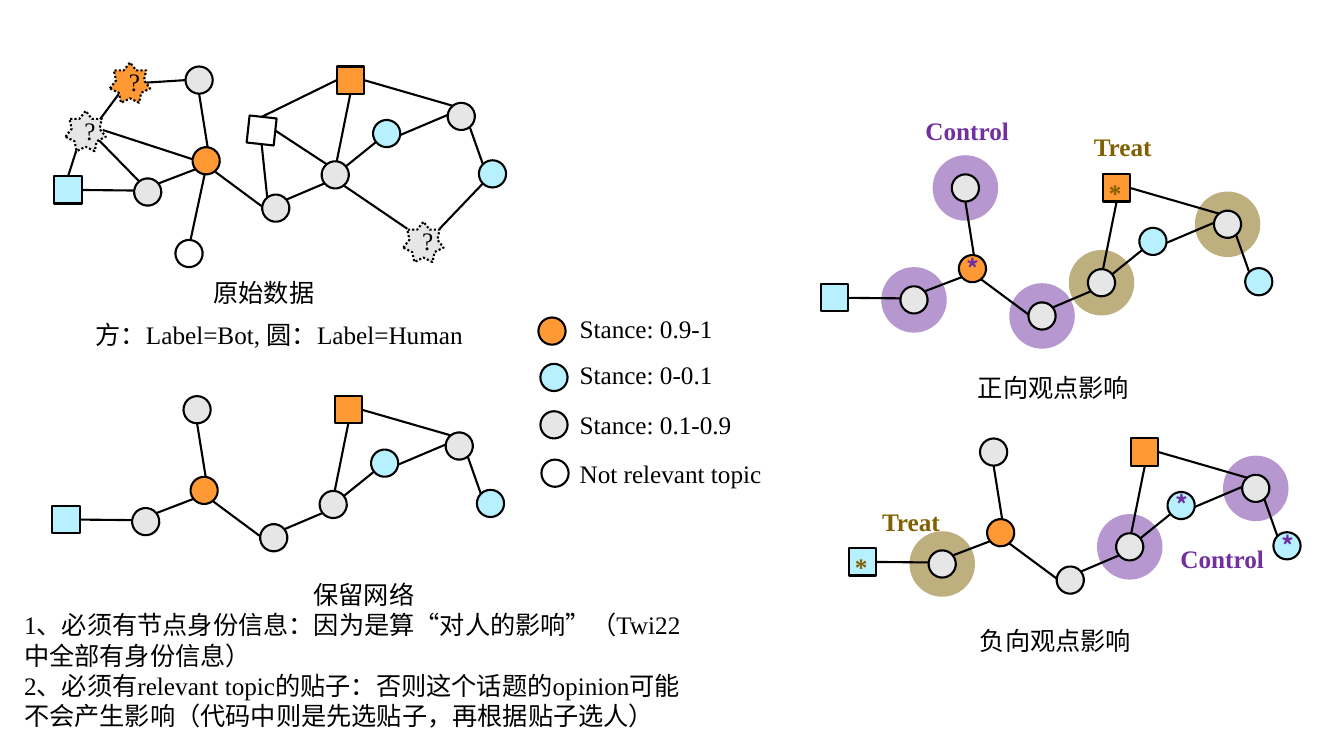
from math import cos, radians, sin

from pptx import Presentation
from pptx.dml.color import RGBColor
from pptx.enum.dml import MSO_LINE
from pptx.enum.shapes import MSO_CONNECTOR, MSO_SHAPE
from pptx.enum.text import MSO_ANCHOR, MSO_AUTO_SIZE, PP_ALIGN
from pptx.oxml.ns import qn
from pptx.util import Inches, Pt
from lxml.etree import SubElement

# Grid: square cells, 133.3 columns by 75 rows
CELL = Inches(0.1)
COLUMNS, ROWS = 133.3, 75
NODE, HALO, STAR, TEXT_ROW = 2.7, 6.5, 4, 4
TILT = 6.3

BLACK, WHITE = "000000", "FFFFFF"
HIGH, LOW, NEUTRAL = "FF9933", "B7F1FF", "E7E6E6"
PURPLE, BROWN, OLIVE = "7030A0", "806000", "7F6000"
LATIN, CJK = "Times New Roman", "Noto Sans CJK SC"
CIRCLE, SQUARE, STAR_7 = MSO_SHAPE.OVAL, MSO_SHAPE.RECTANGLE, MSO_SHAPE.STAR_7_POINT

# Connection points: degrees clockwise on a circle, site numbers on a square
ANGLES = {"right": 0, "lower right": 45, "bottom": 90, "lower left": 135,
          "left": 180, "upper left": 225, "top": 270, "upper right": 315}
SITES = {"top": 0, "left": 1, "bottom": 2, "right": 3}

# Network shared by the four drawings: column, row, kind, colour, rotation
NODES = {
    "low bot": (0, 0, SQUARE, LOW, 0),
    "first": (7.9, 0.2, CIRCLE, NEUTRAL, TILT),
    "peak": (13, -10.9, CIRCLE, NEUTRAL, 0),
    "hub": (13.7, -2.9, CIRCLE, HIGH, TILT),
    "dip": (20.6, 1.8, CIRCLE, NEUTRAL, TILT),
    "middle": (26.5, -1.5, CIRCLE, NEUTRAL, TILT),
    "high bot": (28, -10.9, SQUARE, HIGH, 0),
    "bridge": (31.6, -5.6, CIRCLE, LOW, TILT),
    "far": (39, -7.3, CIRCLE, NEUTRAL, TILT),
    "last": (42.1, -1.6, CIRCLE, LOW, 0),
}
EDGES = [
    (("low bot", "right"), ("first", "left")),
    (("hub", "lower left"), ("first", "upper right")),
    (("hub", "top"), ("peak", "bottom")),
    (("hub", "lower right"), ("dip", "left")),
    (("dip", "upper right"), ("middle", "lower left")),
    (("middle", "top"), ("high bot", "bottom")),
    (("middle", "upper right"), ("bridge", "lower left")),
    (("bridge", "right"), ("far", "left")),
    (("far", "upper left"), ("high bot", "right")),
    (("last", "upper left"), ("far", "lower right")),
]

# Elements found only in the raw data; plain number pairs end at a star
RAW_NODES = {
    "off-topic bot": (19.2, -5.9, SQUARE, WHITE, TILT),
    "off-topic human": (12, 6.3, CIRCLE, WHITE, TILT),
}
RAW_EDGES = [
    (("dip", "upper left"), ("off-topic bot", "bottom")),
    ((4.8, -4.6), ("hub", "left")),
    (("low bot", "top"), (2.5, -3.6)),
    (("first", "upper left"), (4.4, -3.6)),
    ((4.4, -5.5), (6.7, -8.6)),
    ((9.1, -9.3), ("peak", "left")),
    ((38.2, 5.2), ("last", "lower left")),
    ((35, 5.2), ("middle", "lower right")),
    (("middle", "upper left"), ("off-topic bot", "right")),
    (("hub", "bottom"), ("off-topic human", "top")),
    (("off-topic bot", "top"), ("high bot", "left")),
]
RAW_STARS = [(6.5, 11, NEUTRAL), (10.9, 6.2, HIGH), (40, 22, NEUTRAL)]

LEGEND = [(53.4, 31.5, 30.6, HIGH, "Stance: 0.9-1"), (53.6, 36.1, 35.2, LOW, "Stance: 0-0.1"),
          (53.6, 40.8, 40.1, NEUTRAL, "Stance: 0.1-0.9"),
          (53.7, 45.6, 45, WHITE, "Not relevant topic")]
CAPTIONS = [(96, 36.4, 17.7, "正向观点影响"), (96.2, 61.5, 17.7, "负向观点影响"),
            (20.2, 27, 17.7, "原始数据"), (8.5, 31.2, 49.6, "方：Label=Bot, 圆：Label=Human")]
GROUP_NAMES = [(90.8, 10.9, 12.6, "Control", PURPLE), (107.5, 12.5, 8.3, "Treat", BROWN),
               (86.5, 49.7, 8.3, "Treat", BROWN), (116.1, 53.4, 12.6, "Control", PURPLE)]
RULES = ["1、必须有节点身份信息：因为是算“对人的影响”（Twi22中全部有身份信息）",
         "2、必须有relevant topic的贴子：否则这个话题的opinion可能不会产生影响"
         "（代码中则是先选贴子，再根据贴子选人）"]


def cells(*values):
    return [round(value * CELL) for value in values]


def colour(value):
    return RGBColor.from_string(value)


def write(paragraph, text, ink=BLACK, bold=False, face=LATIN):
    run = paragraph.add_run()
    run.text = text
    for name, value in {"size": Pt(18), "name": face, "bold": bold}.items():
        setattr(run.font, name, value)
    run.font.color.rgb = colour(ink)
    SubElement(run.font._element, qn("a:ea")).set("typeface", CJK)


def add_text(slide, column, row, width, lines, rows=TEXT_ROW, **style):
    box = slide.shapes.add_textbox(*cells(column, row, width, rows))
    frame = box.text_frame
    for name, value in {"word_wrap": True, "auto_size": MSO_AUTO_SIZE.SHAPE_TO_FIT_TEXT}.items():
        setattr(frame, name, value)
    for index, line in enumerate(lines):
        paragraph = frame.add_paragraph() if index else frame.paragraphs[0]
        write(paragraph, line, **style)
    return frame


def add_node(slide, column, row, kind, fill, rotation=0, size=NODE):
    shape = slide.shapes.add_shape(kind, *cells(column, row, size, size))
    shape.shadow.inherit = False
    shape.rotation = rotation
    shape.fill.solid()
    shape.fill.fore_color.rgb = colour(fill)
    shape.line.color.rgb = colour(BLACK)
    shape.line.width = Pt(1.5)
    return shape


def add_halo(slide, column, row, fill):
    shift = (NODE - HALO) / 2
    halo = add_node(slide, column + shift, row + shift, CIRCLE, fill, size=HALO)
    halo.line.fill.background()
    # Half transparent fill
    SubElement(halo._element.spPr.find(".//" + qn("a:srgbClr")), qn("a:alpha")).set("val", "50000")


def add_star(slide, column, row, fill):
    star = add_node(slide, column, row, STAR_7, fill, size=STAR)
    star.line.dash_style = MSO_LINE.ROUND_DOT
    star.text_frame.vertical_anchor = MSO_ANCHOR.MIDDLE
    paragraph = star.text_frame.paragraphs[0]
    paragraph.alignment = PP_ALIGN.CENTER
    write(paragraph, "?")


def locate(end, origin, shapes):
    """Return the slide position of an edge's end."""
    if end[0] not in shapes:
        return cells(origin[0] + end[0], origin[1] + end[1])
    shape = shapes[end[0]]
    angle = radians(ANGLES[end[1]] + shape.rotation)
    radius = shape.width / 2
    return [round(shape.left + radius * (1 + cos(angle))),
            round(shape.top + radius * (1 + sin(angle)))]


def add_edge(slide, ends, origin, shapes):
    start, finish = (locate(end, origin, shapes) for end in ends)
    edge = slide.shapes.add_connector(MSO_CONNECTOR.STRAIGHT, *start, *finish)
    edge.line.color.rgb = colour(BLACK)
    edge.line.width = Pt(1.5)
    SubElement(edge._element.spPr, qn("a:effectLst"))
    for end, join in zip(ends, (edge.begin_connect, edge.end_connect)):
        shape = shapes.get(end[0])
        if shape is not None and shape.auto_shape_type == SQUARE:
            join(shape, SITES[end[1]])


def add_network(slide, origin, nodes=NODES, edges=EDGES, control=(), treat=(),
                control_marks=(), treat_marks=()):
    places = {name: (origin[0] + node[0], origin[1] + node[1]) for name, node in nodes.items()}
    for group, fill in ((control, PURPLE), (treat, OLIVE)):
        for name in group:
            add_halo(slide, *places[name], fill)
    shapes = {name: add_node(slide, *places[name], *node[2:]) for name, node in nodes.items()}
    for ends in edges:
        add_edge(slide, ends, origin, shapes)
    # Asterisks on the nodes that exert influence
    for name in control_marks:
        column, row = places[name]
        add_text(slide, column - 0.2, row - 0.7, 3, ["*"], ink=PURPLE, bold=True, face=CJK)
    for name in treat_marks:
        column, row = places[name]
        add_text(slide, column - 0.4, row - 0.2, 4.3, ["*"], ink=BROWN, bold=True)


def main():
    presentation = Presentation()
    presentation.slide_width, presentation.slide_height = cells(COLUMNS, ROWS)
    slide = presentation.slides.add_slide(presentation.slide_layouts[6])

    # Raw data and retained network
    add_network(slide, (5.4, 17.5), {**NODES, **RAW_NODES}, EDGES + RAW_EDGES)
    for star in RAW_STARS:
        add_star(slide, *star)
    add_network(slide, (5.2, 50.2))

    # Positive and negative influence
    add_network(slide, (81.4, 28.2), control=["first", "peak", "dip"], treat=["middle", "far"],
                control_marks=["hub"], treat_marks=["high bot"])
    add_network(slide, (84.2, 54.4), control=["middle", "far"], treat=["first"],
                control_marks=["bridge", "last"], treat_marks=["low bot"])

    # Legend
    for column, row, text_row, fill, label in LEGEND:
        add_node(slide, column, row, CIRCLE, fill)
        add_text(slide, 56.5, text_row, 21.5, [label])

    # Captions, group names and rules
    for column, row, width, caption in CAPTIONS:
        add_text(slide, column, row, width, [caption])
    for column, row, width, name, ink in GROUP_NAMES:
        add_text(slide, column, row, width, [name], ink=ink, bold=True)
    notes = add_text(slide, 1.4, 57, 69.4, ["保留网络", *RULES], rows=16.2)
    notes.paragraphs[0].alignment = PP_ALIGN.CENTER

    presentation.save("out.pptx")


if __name__ == "__main__":
    main()
